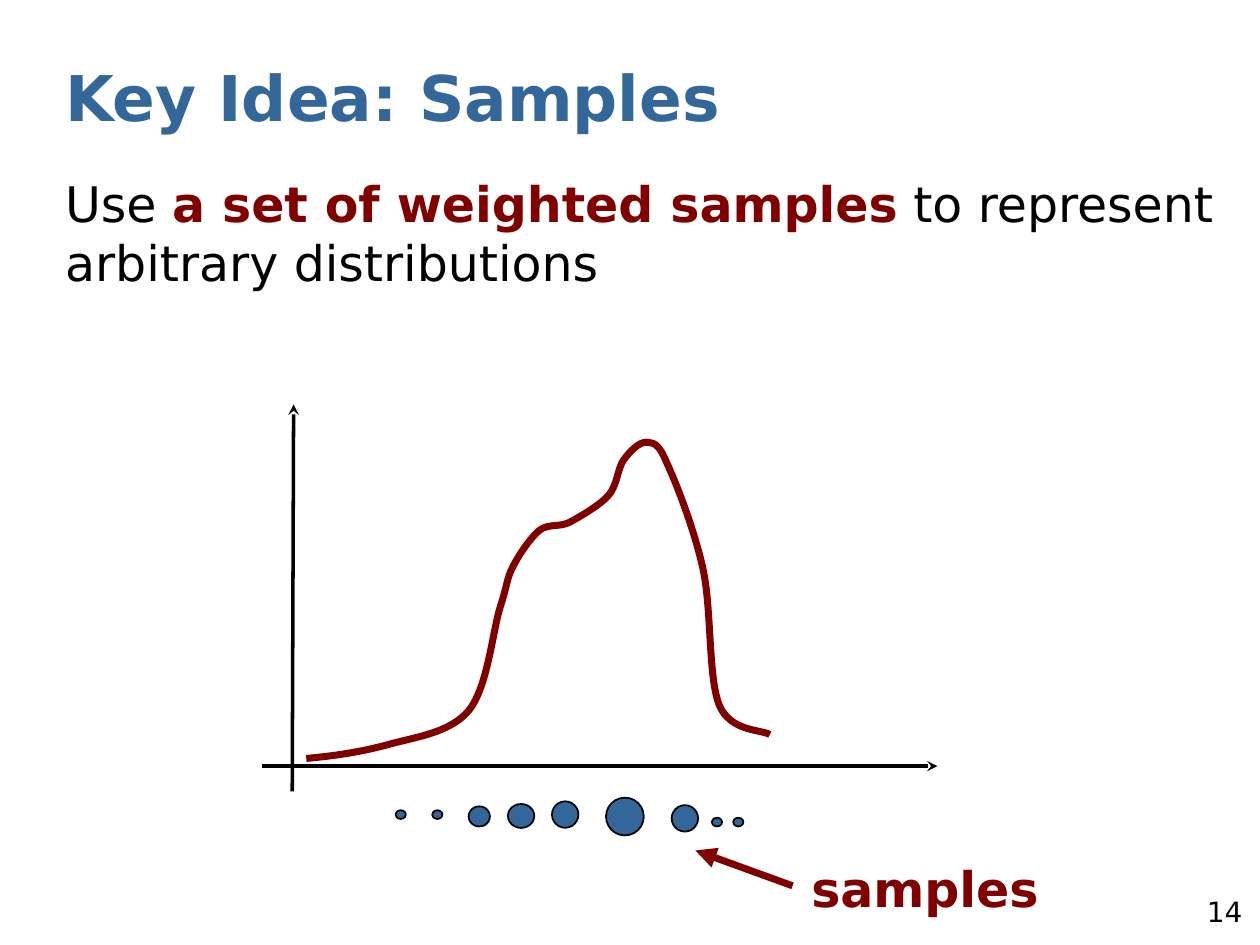
from typing import NamedTuple

from lxml import etree
from pptx import Presentation
from pptx.dml.color import RGBColor
from pptx.enum.shapes import MSO_CONNECTOR, MSO_SHAPE
from pptx.enum.text import PP_ALIGN
from pptx.oxml.ns import qn
from pptx.util import Pt

STRAIGHT = MSO_CONNECTOR.STRAIGHT
CIRCLE = MSO_SHAPE.FLOWCHART_CONNECTOR
LEFT, CENTER, RIGHT = PP_ALIGN.LEFT, PP_ALIGN.CENTER, PP_ALIGN.RIGHT

FONT = "DejaVu Sans"
COLORS = {"blue": "336699", "red": "800000", "black": "000000"}


class Span(NamedTuple):
    text: str
    color: str = "black"
    bold: bool = False


class Sample(NamedTuple):
    left: float
    top: float
    width: float = 5.8
    height: float = 5


class Arrow(NamedTuple):
    start: tuple[float, float]
    end: tuple[float, float]
    color: str
    weight: float
    head: str


SAMPLES = [
    Sample(226.1, 463),
    Sample(247, 463),
    Sample(267.8, 460.8, 12.2, 11.5),
    Sample(290.2, 459.4, 15.1, 13.7),
    Sample(315.4, 457.9, 15.1, 15.1),
    Sample(346.3, 455.8, 21.6, 21.6),
    Sample(383.8, 460.1, 15.1, 15.1),
    Sample(406.8, 467.3),
    Sample(419, 467.3),
]

ARROWS = [
    Arrow((167, 452.2), (167.8, 231.1), "black", 2, "stealth"),
    Arrow((149.8, 437.8), (535.7, 437.8), "black", 2, "stealth"),
    Arrow((452.9, 506.2), (397.4, 486), "red", 4, "triangle"),
]

# Start point, then two control points and an end point per row
DENSITY_START = (175, 433.4)
DENSITY_SEGMENTS = [
    ((190.8, 432), (205.9, 429.8), (221.8, 425.5)),
    ((236.9, 421.2), (257, 419), (267.8, 406.1)),
    ((278.6, 393.1), (281.5, 360.7), (285.8, 347)),
    ((290.2, 333.4), (289.4, 331.2), (293, 324)),
    ((296.6, 316.8), (303.1, 307.4), (308.2, 303.1)),
    ((313.9, 298.8), (319.7, 301.7), (326.2, 298.1)),
    ((332.6, 294.5), (342.7, 288.7), (347.8, 283)),
    ((352.8, 277.2), (352.8, 267.8), (356.4, 262.8)),
    ((360, 257.8), (365, 252.7), (369.4, 252.7)),
    ((373, 253.4), (375.8, 252), (380.9, 264.2)),
    ((386.6, 276.5), (396.7, 302.4), (401.8, 325.4)),
    ((406.8, 349.2), (404.6, 387.4), (411.1, 403.2)),
    ((417.6, 418.3), (435.6, 416.9), (439.9, 419.8)),
]


def rgb(name: str) -> RGBColor:
    return RGBColor.from_string(COLORS[name])


def set_line(line, color: str, weight: float) -> None:
    line.color.rgb = rgb(color)
    line.width = Pt(weight)


def add_text(page, spans: list[Span], *, left: float, top: float, width: float,
             height: float, size: float, align=LEFT, spacing: float = 1.0) -> None:
    box = page.shapes.add_textbox(Pt(left), Pt(top), Pt(width), Pt(height))
    box.text_frame.word_wrap = True
    para = box.text_frame.paragraphs[0]
    para.alignment = align
    para.line_spacing = spacing
    for span in spans:
        run = para.add_run()
        run.text = span.text
        run.font.name = FONT
        run.font.size = Pt(size)
        run.font.bold = span.bold
        run.font.color.rgb = rgb(span.color)


def add_curve(page, start: tuple, segments: list[tuple], color: str, weight: float) -> None:
    """Draw an open outline of cubic Bezier segments."""
    points = [point for segment in segments for point in segment]
    builder = page.shapes.build_freeform(Pt(start[0]), Pt(start[1]))
    builder.add_line_segments([(Pt(x), Pt(y)) for x, y in points], close=False)
    curve = builder.convert_to_shape()
    curve.shadow.inherit = False
    curve.fill.background()
    set_line(curve.line, color, weight)

    # Each three line steps become one cubic step
    path = next(curve.element.iter(qn("a:path")))
    steps = path.findall(qn("a:lnTo"))
    for first in range(0, len(steps), 3):
        cubic = etree.SubElement(path, qn("a:cubicBezTo"))
        for step in steps[first:first + 3]:
            cubic.append(step[0])
            path.remove(step)


def add_arrow(page, arrow: Arrow) -> None:
    connector = page.shapes.add_connector(
        STRAIGHT, *(Pt(value) for value in arrow.start + arrow.end))
    set_line(connector.line, arrow.color, arrow.weight)
    line_xml = connector.line._get_or_add_ln()
    etree.SubElement(line_xml, qn("a:tailEnd"), type=arrow.head)
    etree.SubElement(connector.element.spPr, qn("a:effectLst"))


def add_sample(page, sample: Sample) -> None:
    dot = page.shapes.add_shape(CIRCLE, *(Pt(value) for value in sample))
    dot.shadow.inherit = False
    dot.fill.solid()
    dot.fill.fore_color.rgb = rgb("blue")
    set_line(dot.line, "black", 1)


def main() -> None:
    deck = Presentation()
    deck.slide_width, deck.slide_height = Pt(720), Pt(540)
    page = deck.slides.add_slide(deck.slide_layouts[6])

    add_text(page, [Span("14")], left=663, top=509.8, width=54, height=26.6,
             size=16, align=RIGHT, spacing=0.9)
    add_text(page, [Span("Key Idea: Samples", "blue", True)],
             left=30.2, top=30.2, width=673, height=50.4, size=36)
    add_text(page, [Span("Use "), Span("a set of weighted samples", "red", True),
                    Span(" to represent arbitrary distributions")],
             left=30.2, top=95.8, width=673, height=414, size=28)

    add_curve(page, DENSITY_START, DENSITY_SEGMENTS, "red", 4)
    for arrow in ARROWS:
        add_arrow(page, arrow)
    for sample in SAMPLES:
        add_sample(page, sample)
    add_text(page, [Span("samples", "red", True)], left=455.8, top=491,
             width=145.4, height=38.2, size=28, align=CENTER, spacing=0.9)

    deck.save("out.pptx")


if __name__ == "__main__":
    main()
